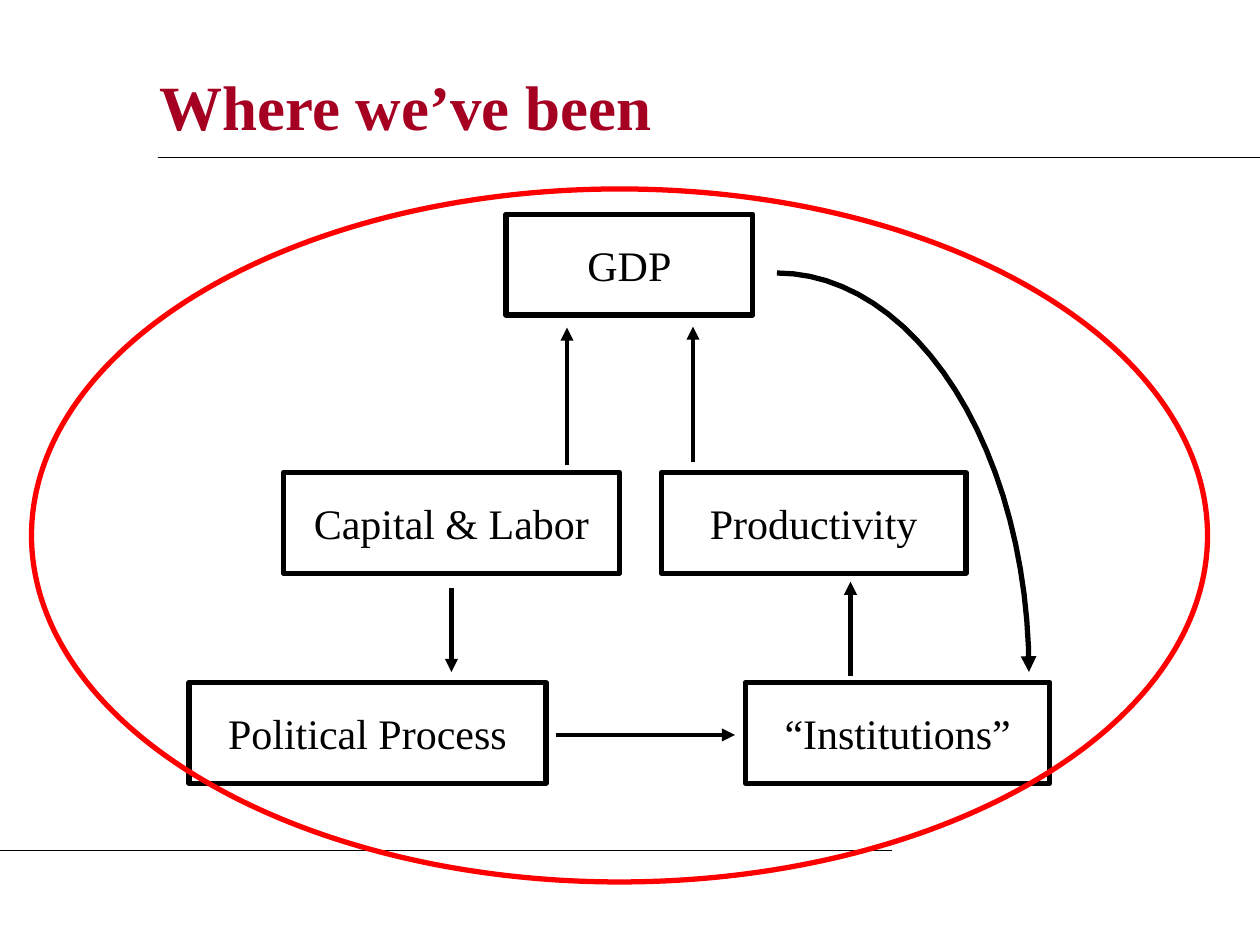
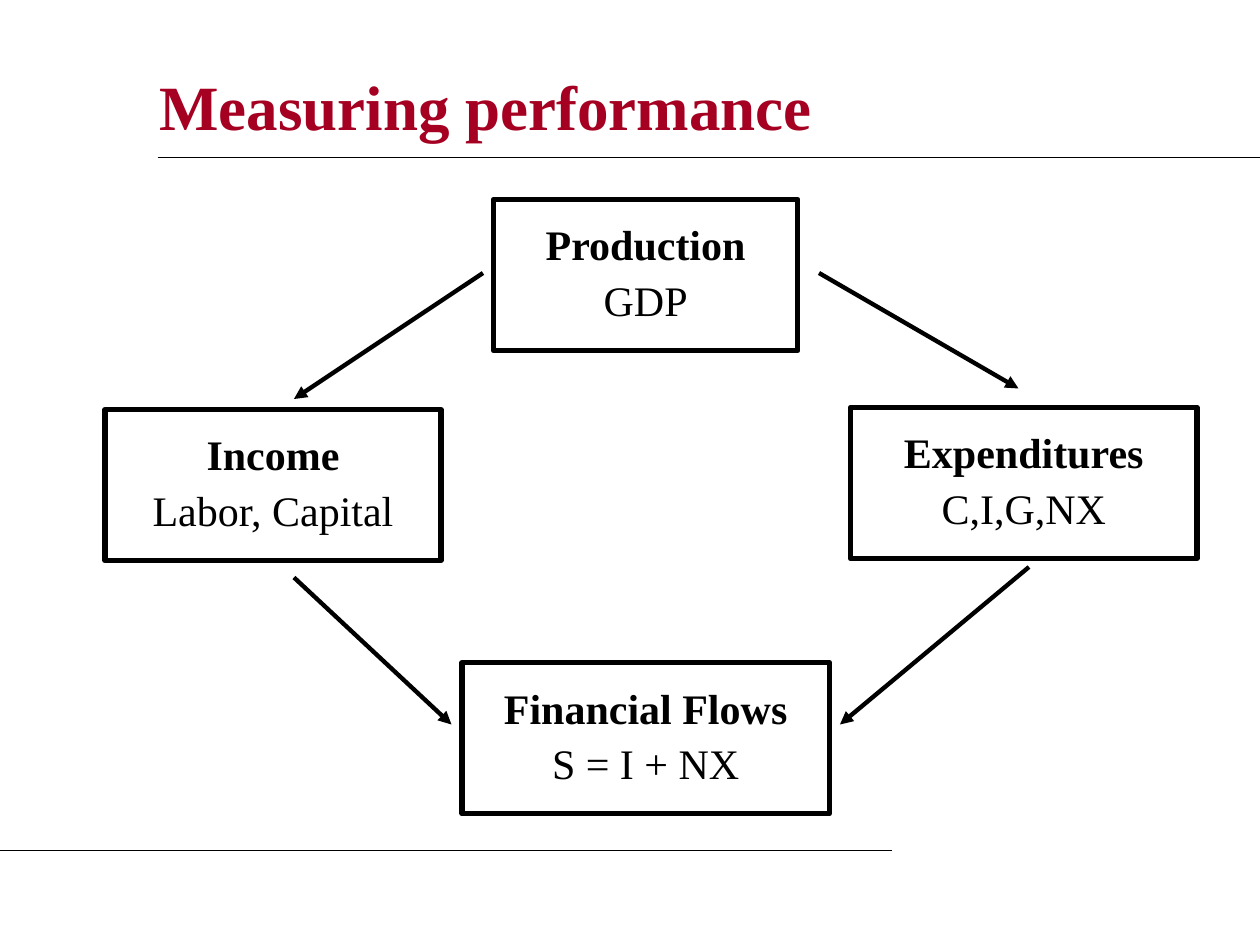
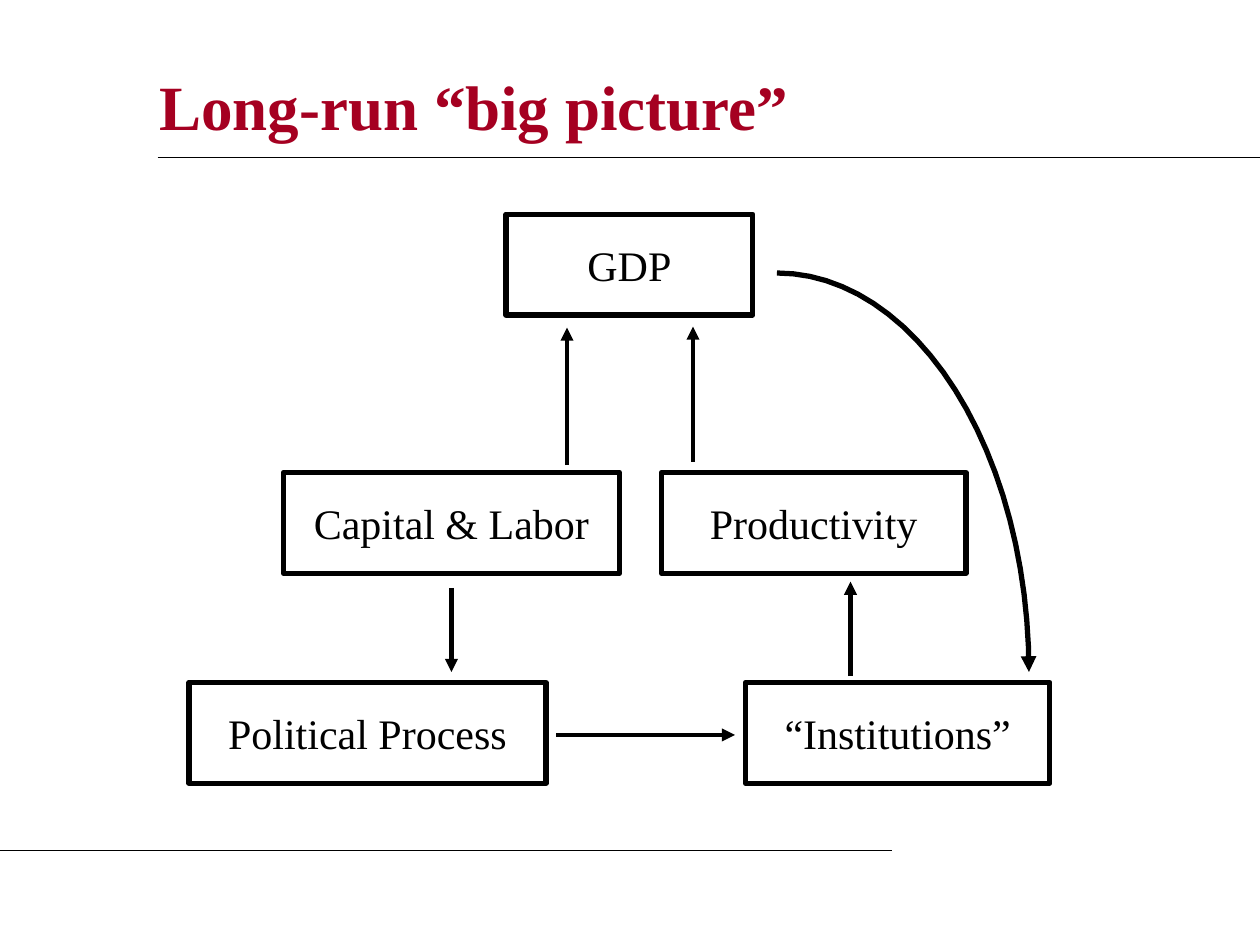
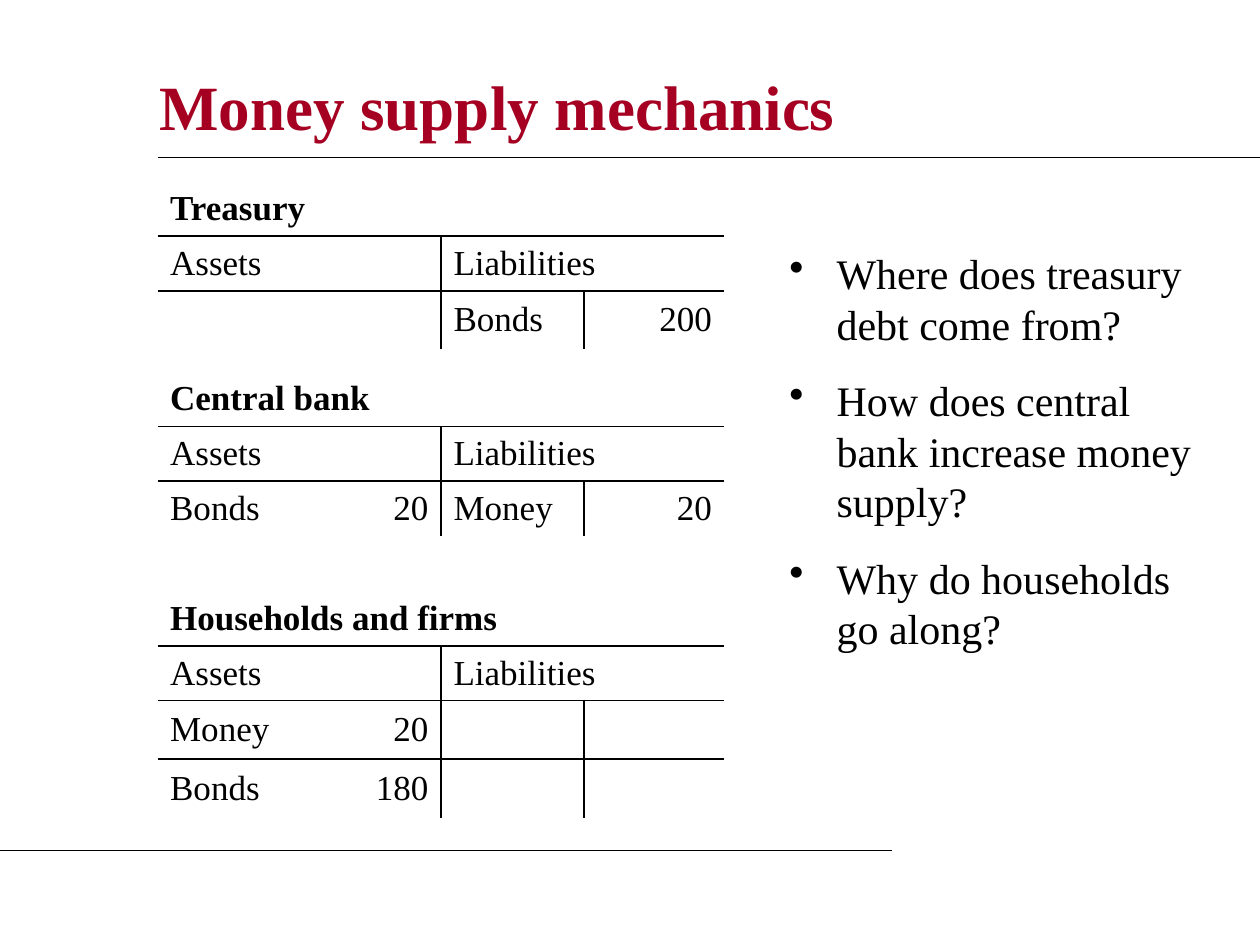
from math import cos, pi, sin

from lxml import etree
from pptx import Presentation
from pptx.dml.color import RGBColor
from pptx.enum.shapes import MSO_CONNECTOR, MSO_SHAPE
from pptx.enum.text import MSO_ANCHOR, PP_ALIGN
from pptx.oxml.ns import qn
from pptx.util import Pt

PX = 7620  # EMU per px, 120 px to the inch
FONT = "Times New Roman"
BLACK = RGBColor(0x00, 0x00, 0x00)
CRIMSON = RGBColor(0xA5, 0x00, 0x21)
RED = RGBColor(0xFF, 0x00, 0x00)
LEFT, CENTER, RIGHT = PP_ALIGN.LEFT, PP_ALIGN.CENTER, PP_ALIGN.RIGHT
TOP, MIDDLE = MSO_ANCHOR.TOP, MSO_ANCHOR.MIDDLE
RECT, OVAL = MSO_SHAPE.RECTANGLE, MSO_SHAPE.OVAL
STRAIGHT = MSO_CONNECTOR.STRAIGHT
NO_TABLE_STYLE = "{2D5ABB26-0587-4C30-8999-92F81FD0307C}"


def write(tf, text, size=24, color=BLACK, bold=False, align=LEFT, anchor=TOP,
          before=0, spacing=None, bullet=None, bold_first=False):
    """Write one paragraph for each line of text."""
    tf.word_wrap = True
    tf.vertical_anchor = anchor
    for i, line in enumerate(text.split("\n")):
        p = tf.add_paragraph() if i else tf.paragraphs[0]
        p.alignment = align
        if i and before:
            p.space_before = Pt(before)
        if spacing:
            p.line_spacing = spacing
        if bullet:
            pPr = p._p.get_or_add_pPr()
            pPr.set("marL", str(45 * PX))
            pPr.set("indent", str(-45 * PX))
            etree.SubElement(pPr, qn("a:buChar")).set("char", bullet)
        r = p.add_run()
        r.text = line
        r.font.name = FONT
        r.font.size = Pt(size)
        r.font.bold = bold or (bold_first and i == 0)
        r.font.color.rgb = color


def stroke(shape, width, color=BLACK, arrow=False):
    """Outline a shape or connector, without a shadow."""
    shape.line.color.rgb = color
    shape.line.width = Pt(width)
    spPr = shape._element.spPr
    if arrow:
        etree.SubElement(spPr.find(qn("a:ln")), qn("a:tailEnd")).set("type", "triangle")
    etree.SubElement(spPr, qn("a:effectLst"))


# Box: text, left, top, width. Arrow: x and y of start, then of end.
growth_boxes = [
    ("Capital & Labor", 270, 450, 320),
    ("Productivity", 630, 450, 290),
    ("GDP", 482, 204, 235),
    ("“Institutions”", 710, 650, 290),
    ("Political Process", 180, 650, 340),
]
growth_arrows = [
    (540, 443, 540, 312),
    (660, 440, 660, 311),
    (810, 644, 810, 554),
    (530, 700, 700, 700),
    (430, 560, 430, 640),
]
measure_boxes = [
    ("Production\nGDP", 470, 190, 290),
    ("Expenditures\nC,I,G,NX", 810, 388, 330),
    ("Income\nLabor, Capital", 100, 390, 320),
    ("Financial Flows\nS = I + NX", 440, 631, 350),
]
measure_arrows = [
    (780, 260, 970, 370),
    (460, 260, 280, 380),
    (980, 540, 800, 690),
    (280, 550, 430, 690),
]

# Title, boxes, box height, arrows, with feedback curve, with red ring
pages = [
    ("Where we’ve been", growth_boxes, 96, growth_arrows, True, True),
    ("Measuring performance", measure_boxes, 144, measure_arrows, False, False),
    ("Long-run “big picture”", growth_boxes, 96, growth_arrows, True, False),
    ("Money supply mechanics", [], 0, [], False, False),
]

prs = Presentation()
prs.slide_width, prs.slide_height = 1200 * PX, 900 * PX

for title, boxes, box_height, arrows, has_curve, has_ring in pages:
    s = prs.slides.add_slide(prs.slide_layouts[6])

    # Title and rules
    sp = s.shapes.add_textbox(140 * PX, 50 * PX, 970 * PX, 100 * PX)
    write(sp.text_frame, title, size=36, color=CRIMSON, bold=True, anchor=MIDDLE)
    for x1, x2, y in [(150, 1200, 150), (0, 850, 810)]:
        rule = s.shapes.add_connector(STRAIGHT, x1 * PX, y * PX, x2 * PX, y * PX)
        stroke(rule, 0.75)

    # Boxes
    for text, x, y, w in boxes:
        sp = s.shapes.add_shape(RECT, x * PX, y * PX, w * PX, box_height * PX)
        sp.fill.background()
        stroke(sp, 3)
        tf = sp.text_frame
        tf.margin_left = tf.margin_right = tf.margin_top = tf.margin_bottom = 24 * PX
        write(tf, text, align=CENTER, before=6, bold_first="\n" in text,
              spacing=0.9 if "\n" in text else None)

    # Arrows
    for x1, y1, x2, y2 in arrows:
        arrow = s.shapes.add_connector(STRAIGHT, x1 * PX, y1 * PX, x2 * PX, y2 * PX)
        stroke(arrow, 2.5, arrow=True)

    # Feedback curve: a quarter ellipse from GDP to institutions
    if has_curve:
        steps = 24
        angles = [pi / 2 * i / steps for i in range(steps + 1)]
        points = [(round((740 + 240 * sin(a)) * PX), round((640 - 380 * cos(a)) * PX))
                  for a in angles]
        builder = s.shapes.build_freeform(*points[0])
        builder.add_line_segments(points[1:], close=False)
        curve = builder.convert_to_shape()
        curve.fill.background()
        stroke(curve, 3, arrow=True)

    # Ring around the whole diagram
    if has_ring:
        ring = s.shapes.add_shape(OVAL, 30 * PX, 180 * PX, 1120 * PX, 660 * PX)
        ring.fill.background()
        stroke(ring, 3, RED)

# Balance sheets on the last slide: owner, top, height of entry rows, entries
sheets = [
    ("Treasury", 173, 55, [("", "", "Bonds", "200")]),
    ("Central bank", 354, 52, [("Bonds", "20", "Money", "20")]),
    ("Households and firms", 563, 56, [("Money", "20", "", ""), ("Bonds", "180", "", "")]),
]
col_widths = [178, 92, 136, 134]
for owner, top, entry_height, entries in sheets:
    rows = [(owner, "", "", ""), ("Assets", "", "Liabilities", "")] + entries
    heights = [52, 52] + [entry_height] * len(entries)
    frame = s.shapes.add_table(len(rows), 4, 150 * PX, top * PX,
                               sum(col_widths) * PX, sum(heights) * PX)
    table = frame.table
    table.first_row = table.horz_banding = False
    table._tbl.tblPr.find(qn("a:tableStyleId")).text = NO_TABLE_STYLE
    for col, w in zip(table.columns, col_widths):
        col.width = w * PX
    for row, h in zip(table.rows, heights):
        row.height = h * PX
    table.cell(0, 0).merge(table.cell(0, 3))
    table.cell(1, 0).merge(table.cell(1, 1))
    table.cell(1, 2).merge(table.cell(1, 3))

    for i, row in enumerate(rows):
        for j, text in enumerate(row):
            cell = table.cell(i, j)
            cell.vertical_anchor = MIDDLE
            # T-account lines
            sides = [("L", i > 0 and j == 2), ("R", i > 0 and j == 1),
                     ("T", i in (1, 2)), ("B", i < 2)]
            for side, shown in sides:
                if shown:
                    ln = etree.SubElement(cell._tc.get_or_add_tcPr(), qn("a:ln" + side))
                    ln.set("w", str(Pt(1.08)))
                    fill = etree.SubElement(ln, qn("a:solidFill"))
                    etree.SubElement(fill, qn("a:srgbClr")).set("val", str(BLACK))
            cell.fill.background()
            if text:
                write(cell.text_frame, text, size=20, bold=i == 0, anchor=MIDDLE,
                      align=RIGHT if j % 2 else LEFT)

# Questions
sp = s.shapes.add_textbox(740 * PX, 230 * PX, 410 * PX, 420 * PX)
questions = [
    "Where does treasury debt come from?",
    "How does central bank increase money supply?",
    "Why do households go along?",
]
write(sp.text_frame, "\n".join(questions), before=15, bullet="•")

prs.save("out.pptx")
